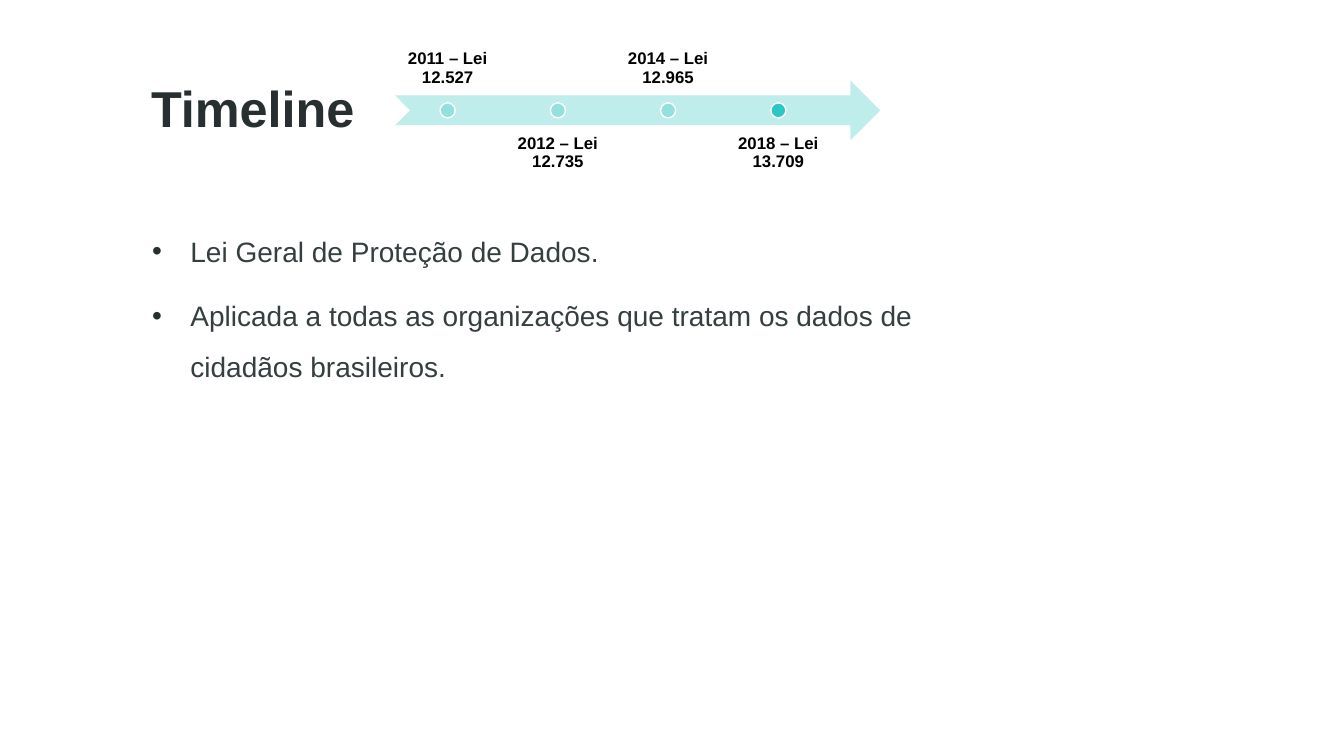
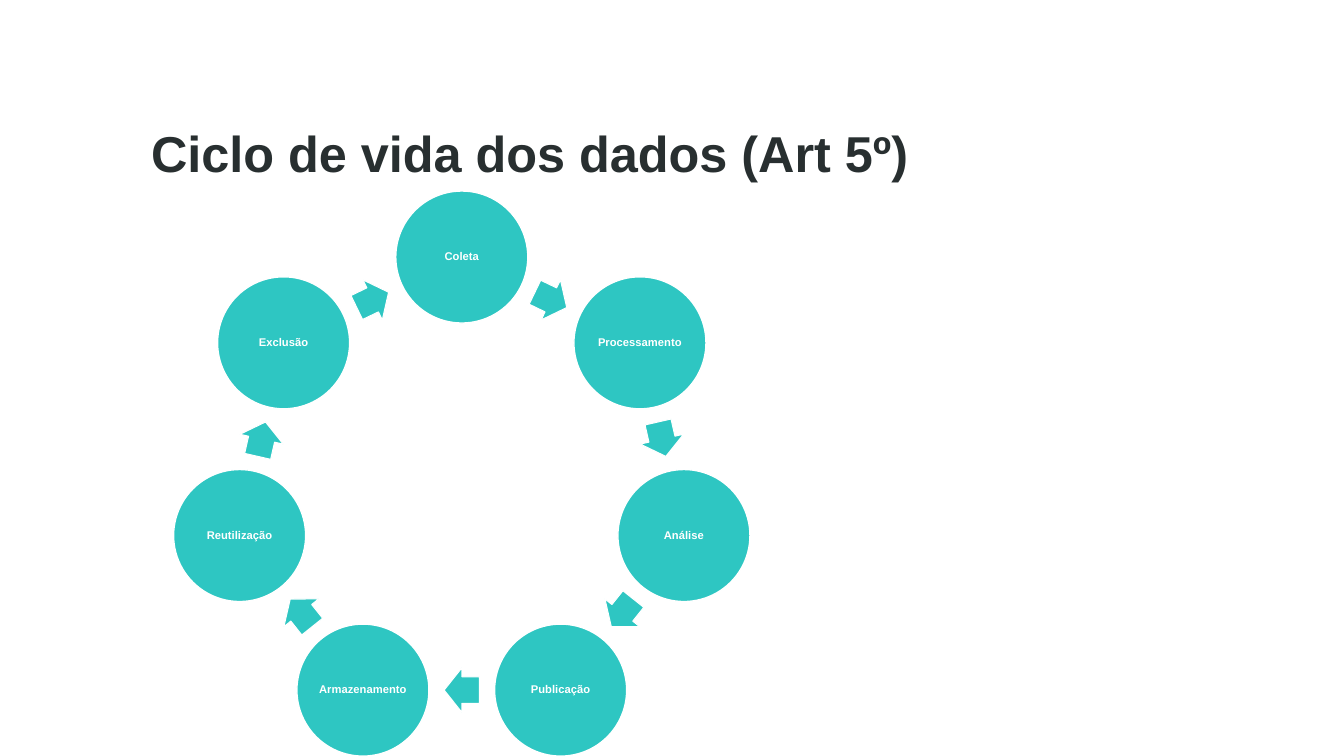
"""Build two slides: a timeline of Brazilian data laws and the data life cycle."""
import math
from typing import NamedTuple

from lxml import etree
from pptx import Presentation
from pptx.dml import color
from pptx.enum import shapes, text
from pptx.oxml import ns
from pptx.util import Inches, Pt

FONT = "Arial"
COLORS = {
    "teal": "2EC6C2",
    "title": "282F30",
    "body": "353F40",
    "black": "000000",
    "white": "FFFFFF",
}


class Box(NamedTuple):
    left: float
    top: float
    width: float
    height: float

    def lengths(self) -> list:
        return [Inches(v) for v in self]


class TextStyle(NamedTuple):
    size: float
    color: str
    bold: bool
    spacing: float
    align: text.PP_ALIGN
    anchor: text.MSO_ANCHOR
    inset: tuple[float, float]


class Law(NamedTuple):
    label: str
    current: bool = False


LEFT, CENTER = text.PP_ALIGN.LEFT, text.PP_ALIGN.CENTER
TOP, MIDDLE, BOTTOM = text.MSO_ANCHOR.TOP, text.MSO_ANCHOR.MIDDLE, text.MSO_ANCHOR.BOTTOM

TITLE = TextStyle(36, "title", True, 1.5, LEFT, MIDDLE, (0.1, 0.05))
BODY = TextStyle(20, "body", False, 1.5, LEFT, TOP, (0.1, 0.05))
LAW_BELOW = TextStyle(12, "black", True, 0.9, CENTER, TOP, (0.09, 0.09))
LAW_ABOVE = LAW_BELOW._replace(anchor=BOTTOM)
STAGE = TextStyle(8, "white", True, 0.9, CENTER, MIDDLE, (0.01, 0.01))

LAWS = [
    Law("2011 – Lei 12.527"),
    Law("2012 – Lei 12.735"),
    Law("2014 – Lei 12.965"),
    Law("2018 – Lei 13.709", current=True),
]
POINTS = [
    "Lei Geral de Proteção de Dados.",
    "Aplicada a todas as organizações que tratam os dados de cidadãos brasileiros.",
]
STAGES = ["Coleta", "Processamento", "Análise", "Publicação",
          "Armazenamento", "Reutilização", "Exclusão"]


def rgb(name: str) -> color.RGBColor:
    return color.RGBColor.from_string(COLORS[name])


def write(sp, lines: list[str], style: TextStyle) -> None:
    tf = sp.text_frame
    tf.word_wrap = True
    tf.vertical_anchor = style.anchor
    tf.margin_left = tf.margin_right = Inches(style.inset[0])
    tf.margin_top = tf.margin_bottom = Inches(style.inset[1])
    tf.text = "\n".join(lines)
    for p in tf.paragraphs:
        p.alignment = style.align
        p.line_spacing = style.spacing
        for r in p.runs:
            r.font.name = FONT
            r.font.size = Pt(style.size)
            r.font.bold = style.bold
            r.font.color.rgb = rgb(style.color)


def add_text(s, box: Box, lines: list[str], style: TextStyle):
    sp = s.shapes.add_textbox(*box.lengths())
    write(sp, lines, style)
    return sp


def add_title(s, title: str, top: float) -> None:
    add_text(s, Box(1.4, top, 8.73, 0.78), [title], TITLE)


def add_teal(s, kind: shapes.MSO_SHAPE, box: Box, line: float = 0, alpha: int = 100):
    sp = s.shapes.add_shape(kind, *box.lengths())
    sp.shadow.inherit = False
    sp.fill.solid()
    sp.fill.fore_color.rgb = rgb("teal")
    if alpha < 100:
        clr = sp.element.spPr.find(ns.qn("a:solidFill")).find(ns.qn("a:srgbClr"))
        etree.SubElement(clr, ns.qn("a:alpha"), val=str(alpha * 1000))
    if line:
        sp.line.color.rgb = rgb("white")
        sp.line.width = Pt(line)
    else:
        sp.line.fill.background()
    return sp


def add_bullet(p, indent: float) -> None:
    pPr = p._p.get_or_add_pPr()
    pPr.set("marL", str(Inches(indent)))
    pPr.set("indent", str(-Inches(indent)))
    clr = etree.SubElement(pPr, ns.qn("a:buClr"))
    etree.SubElement(clr, ns.qn("a:srgbClr"), val=COLORS["title"])
    etree.SubElement(pPr, ns.qn("a:buFont"), typeface=FONT)
    etree.SubElement(pPr, ns.qn("a:buChar"), char="•")


def add_timeline(s, left: float, top: float) -> None:
    arrow = Box(left, top, 4.81, 0.59)
    add_teal(s, shapes.MSO_SHAPE.NOTCHED_RIGHT_ARROW, arrow, alpha=30)
    dot, label_width, step = 0.15, 1.04, 3.28 / 3
    for i, law in enumerate(LAWS):
        x = left + i * step
        above = i % 2 == 0
        y = top - 0.44 if above else top + 0.45
        add_text(s, Box(x, y, label_width, arrow.height), [law.label],
                 LAW_ABOVE if above else LAW_BELOW)
        add_teal(s, shapes.MSO_SHAPE.OVAL,
                 Box(x + (label_width - dot) / 2, top + (arrow.height - dot) / 2, dot, dot),
                 line=1, alpha=100 if law.current else 30)


def ring_box(angle: float, radius: float, width: float, height: float) -> Box:
    x = 4.58 + radius * math.sin(math.radians(angle))
    y = 4.81 - radius * math.cos(math.radians(angle))
    return Box(x - width / 2, y - height / 2, width, height)


def add_cycle(s) -> None:
    radius, step = 2.26, 360 / len(STAGES)
    chord_radius = radius * math.cos(math.radians(step / 2))
    for i, stage in enumerate(STAGES):
        sp = add_teal(s, shapes.MSO_SHAPE.OVAL,
                      ring_box(i * step, radius, 1.31, 1.31), line=1)
        write(sp, [stage], STAGE)
        angle = (i + 0.5) * step
        sp = add_teal(s, shapes.MSO_SHAPE.RIGHT_ARROW,
                      ring_box(angle, chord_radius, 0.35, 0.44), line=0.75)
        sp.adjustments[0] = 0.6
        sp.rotation = angle


def build_timeline_slide(s) -> None:
    add_title(s, "Timeline", 0.52)
    sp = add_text(s, Box(1.41, 2.11, 8.79, 4.87), POINTS, BODY)
    for i, p in enumerate(sp.text_frame.paragraphs):
        add_bullet(p, 0.38)
        if i:
            p.space_before = Pt(10)
    add_timeline(s, 3.92, 0.8)


def build_cycle_slide(s) -> None:
    add_title(s, "Ciclo de vida dos dados (Art 5º)", 0.97)
    add_cycle(s)


def main() -> None:
    prs = Presentation()
    prs.slide_width, prs.slide_height = Inches(13.33), Inches(7.5)
    for build in (build_timeline_slide, build_cycle_slide):
        build(prs.slides.add_slide(prs.slide_layouts[6]))
    prs.save("out.pptx")


if __name__ == "__main__":
    main()
